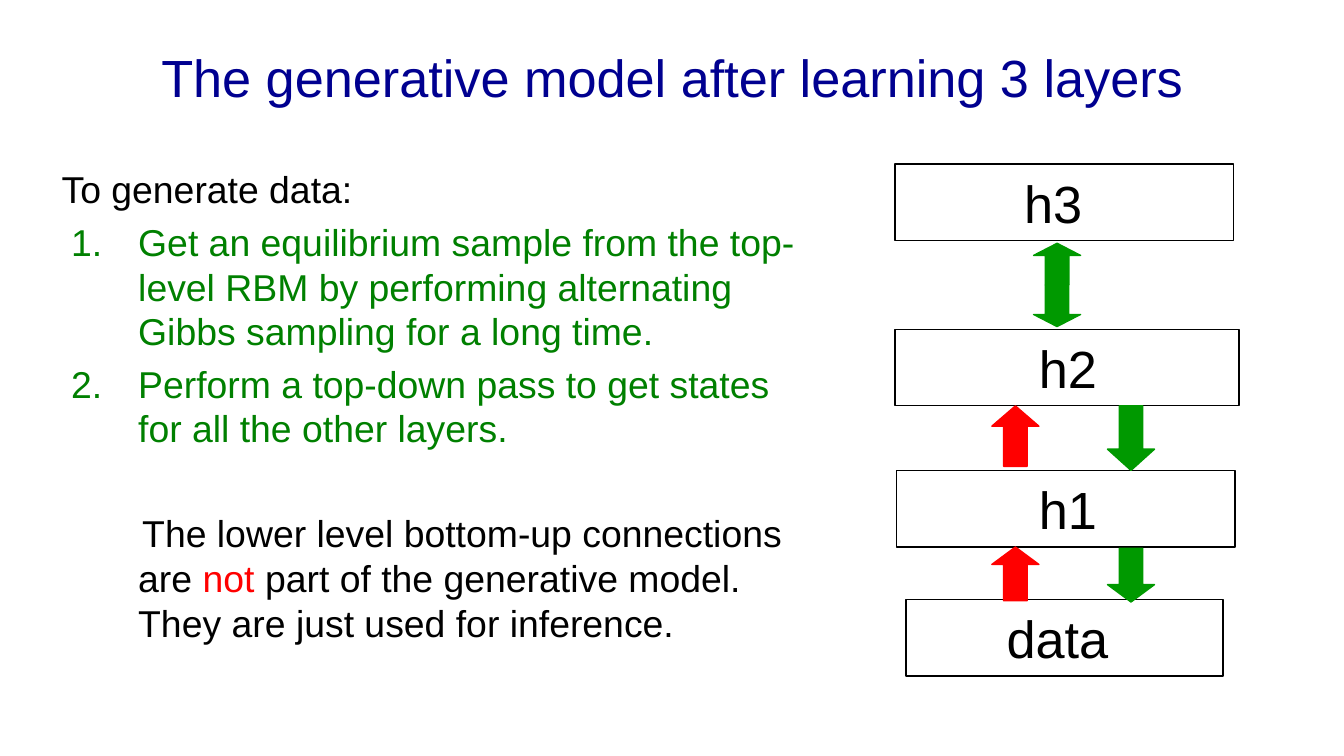
from lxml.etree import SubElement
from pptx import Presentation
from pptx.dml.color import RGBColor
from pptx.enum.shapes import MSO_SHAPE
from pptx.enum.text import MSO_ANCHOR, PP_ALIGN
from pptx.oxml.ns import qn
from pptx.util import Inches, Pt

theme = {
    "font": "Arial", "big": 28, "small": 20, "leading": 1.2,
    "title": "000090", "ink": "000000", "step": "008000",
    "down": "009900", "up": "FF0000", "line": 0.75,
}

deck = Presentation()
deck.slide_width = Inches(10)
deck.slide_height = deck.slide_width * 9 // 16
slide = deck.slides.add_slide(deck.slide_layouts[6])
shapes = slide.shapes
CELL = deck.slide_width / 100  # square grid, 100 columns across the slide


def grid(*cells):
    return [round(n * CELL) for n in cells]


def style(para, size, *colors):
    """Set the leading of a paragraph and the font of its runs, one colour per run."""
    para.line_spacing = Pt(size * theme["leading"])
    for run, color in zip(para.runs, colors):
        run.font.name, run.font.size = theme["font"], Pt(size)
        run.font.color.rgb = RGBColor.from_string(theme[color])


# Title
frame = shapes.add_textbox(*grid(5, 1, 90, 9.4)).text_frame
frame.word_wrap = True
frame.vertical_anchor = MSO_ANCHOR.MIDDLE
frame.text = "The generative model after learning 3 layers"
frame.paragraphs[0].alignment = PP_ALIGN.CENTER
style(frame.paragraphs[0], theme["big"], "title")

# Steps and closing note
frame = shapes.add_textbox(*grid(3.6, 11.9, 58.5, 37.1)).text_frame
frame.word_wrap = True
frame.text = "To generate data:"
style(frame.paragraphs[0], theme["small"], "ink")

steps = [
    "Get an equilibrium sample from the top-level RBM by performing "
    "alternating Gibbs sampling for a long time.",
    "Perform a top-down pass to get states for all the other layers.",
]
for step in steps:
    para = frame.add_paragraph()
    para.text = step
    props = para._p.get_or_add_pPr()
    props.set("marL", str(Inches(0.57)))
    props.set("indent", str(Inches(-0.5)))
    SubElement(props, qn("a:buFont"), typeface="+mj-lt")
    SubElement(props, qn("a:buAutoNum"), type="arabicPeriod")
    para.space_before = Pt(4)
    style(para, theme["small"], "step")

note = frame.add_paragraph()
for part in ("The lower level bottom-up connections are ", "not ",
             "part of the generative model. They are just used for inference."):
    note.add_run().text = part
props = note._p.get_or_add_pPr()
props.set("marL", str(Inches(0.57)))
props.set("indent", str(Inches(0.03)))
note.space_before = Pt(32)
style(note, theme["small"], "ink", "up", "ink")

# Layers: name, left, top, width, text inset
layers = [
    ("h3", 66.6, 12.2, 25.2, 9.6),
    ("h2", 66.6, 24.5, 25.6, 10.7),
    ("h1", 66.7, 35, 25.2, 10.6),
    ("data", 67.4, 44.6, 23.6, 7.5),
]
for name, left, top, width, inset in layers:
    box = shapes.add_shape(MSO_SHAPE.RECTANGLE, *grid(left, top, width, 5.7))
    box.shadow.inherit = False
    box.fill.background()
    box.line.color.rgb = RGBColor.from_string(theme["ink"])
    box.line.width = Pt(theme["line"])
    frame = box.text_frame
    frame.margin_left = grid(inset)[0]
    frame.vertical_anchor = MSO_ANCHOR.MIDDLE
    frame.text = name
    frame.paragraphs[0].alignment = PP_ALIGN.LEFT
    style(frame.paragraphs[0], theme["big"], "ink")

# Arrows: left, top, height, head share, turn, colour
arrows = [
    (76.9, 18.1, 3.1, 0.29, 180, "down"),
    (76.9, 21.2, 3.1, 0.29, 0, "down"),
    (73.8, 30.2, 4.5, 0.43, 180, "up"),
    (82.4, 30.2, 4.8, 0.45, 0, "down"),
    (73.8, 40.7, 4, 0.37, 180, "up"),
    (82.4, 40.8, 4, 0.37, 0, "down"),
]
for left, top, height, head, turn, color in arrows:
    arrow = shapes.add_shape(MSO_SHAPE.DOWN_ARROW, *grid(left, top, 3.5, height))
    arrow.shadow.inherit = False
    arrow.rotation = turn
    arrow.adjustments[0], arrow.adjustments[1] = 0.5, head
    arrow.fill.solid()
    arrow.fill.fore_color.rgb = RGBColor.from_string(theme[color])
    arrow.line.color.rgb = RGBColor.from_string(theme[color])
    arrow.line.width = Pt(theme["line"])

deck.save("out.pptx")
